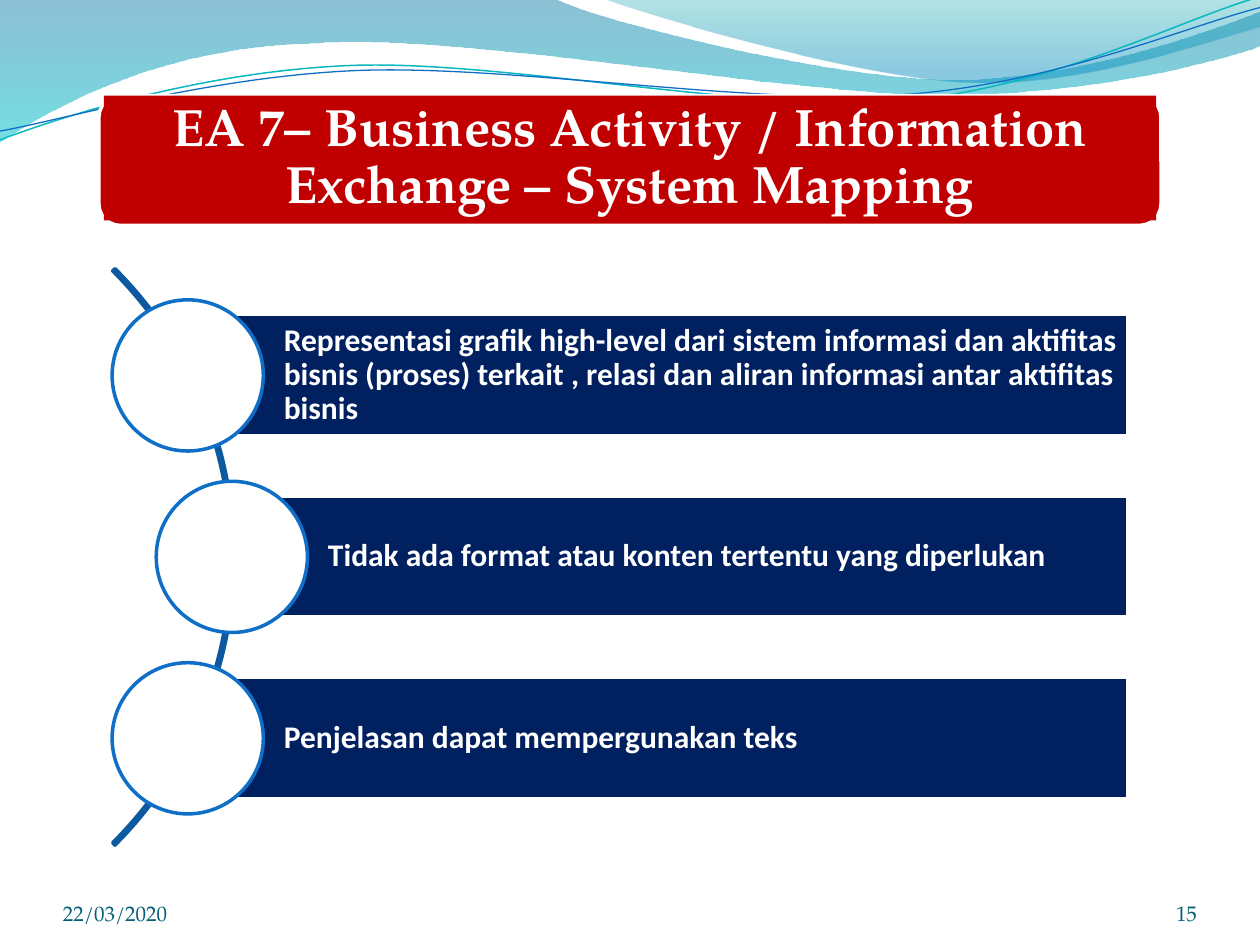
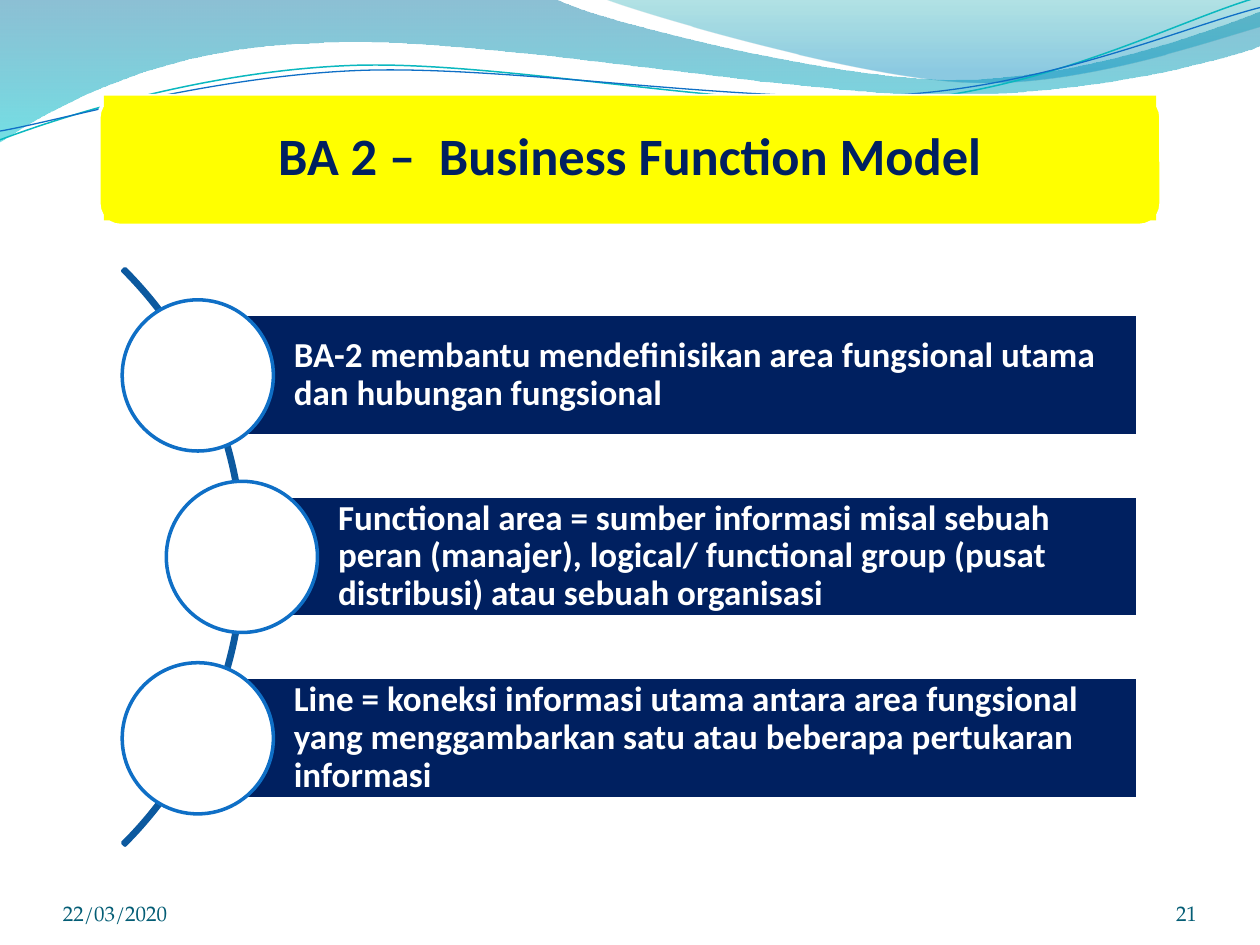
import math

from lxml import etree
from pptx import Presentation, util as u
from pptx.dml.color import RGBColor
from pptx.enum import shapes, text
from pptx.oxml.ns import qn

COLORS = {
    "white": "FFFFFF", "navy": "002060", "red": "C00000", "yellow": "FFFF00",
    "blue": "0F6FC6", "arc": "0C599F", "footer": "045D75", "aqua": "0AB8BF",
    "wave_top": "0074A1", "wave_end": "00C6CF",
    "crest_top": "00A1A9", "crest_end": "008BBF",
}
SERIF, SANS = "TeX Gyre Pagella", "Calibri"

deck = Presentation()
deck.slide_width, deck.slide_height = u.Inches(10), u.Inches(7.5)
CELL = deck.slide_width // 100  # grid of 100 columns by 75 rows

# Header waves in tenths of a cell: pairs are corners, sixes are cubic curves
TILT = 2.7  # degrees by which the thin lines lean
WAVES = [
    dict(steps=[(0, 0), (440, -1), (476, 17, 664, 63, 758, 63),
                (853, 63, 958, 26, 1000, 9), (1001, 36),
                (983, 44, 870, 76, 746, 75), (622, 75, 382, 28, 257, 34),
                (129, 36, 46, 83, -1, 113)],
         stops=[("wave_top", 0, 45), ("wave_end", 1, 55)]),
    dict(steps=[(479, -1), (509, 11, 682, 62, 769, 65),
                (856, 69, 961, 32, 1000, 21), (1000, 0)],
         stops=[("crest_top", 0, 30), ("crest_end", 0.8, 45)]),
    dict(steps=[(0, 111), (48, 93, 158, 57, 277, 52),
                (395, 47, 593, 89, 713, 80), (833, 71, 938, 15, 998, -2)],
         line=("aqua", 0.85), center=(499, 57.5)),
    dict(steps=[(0, 104), (47, 96, 164, 61, 283, 56),
                (403, 51, 597, 84, 717, 75), (836, 67, 941, 21, 1000, 6)],
         line=("blue", 0.75), center=(499.5, 59)),
]

PAGES = [
    dict(title="EA 7– Business Activity / Information Exchange – System Mapping",
         band="red", ink="white", font=SERIF, number="15",
         left=8.9, size=18, inset=0.5,
         points=["Representasi grafik high-level dari sistem informasi dan aktifitas "
                 "bisnis (proses) terkait , relasi dan aliran informasi antar aktifitas bisnis",
                 "Tidak ada format atau konten tertentu yang diperlukan",
                 "Penjelasan dapat mempergunakan teks"]),
    dict(title="BA 2 –  Business Function Model",
         band="yellow", ink="navy", font=SANS, number="21",
         left=9.7, size=20, inset=0.6,
         points=["BA-2 membantu mendefinisikan area fungsional utama dan hubungan fungsional",
                 "Functional area = sumber informasi misal sebuah peran (manajer), "
                 "logical/ functional group (pusat distribusi) atau sebuah organisasi",
                 "Line = koneksi informasi utama antara area fungsional yang "
                 "menggambarkan satu atau beberapa pertukaran informasi"]),
]


def draw(page, kind, area, fill=None, line=None):
    """Add a preset shape on the grid; kind None gives a text box."""
    area = [round(side * CELL) for side in area]
    if kind is None:
        return page.shapes.add_textbox(*area)
    shape = page.shapes.add_shape(kind, *area)
    shape.shadow.inherit = False
    if fill:
        shape.fill.solid()
        shape.fill.fore_color.rgb = RGBColor.from_string(COLORS[fill])
    else:
        shape.fill.background()
    if line:
        shape.line.color.rgb = RGBColor.from_string(COLORS[line])
        shape.line.width = u.Pt(2)
    else:
        shape.line.fill.background()
    return shape


def write(box, words, size, font, ink, align, anchor, inset=0, indent=None, bold=True):
    frame = box.text_frame
    frame.word_wrap = True
    frame.vertical_anchor = anchor
    frame.margin_top = frame.margin_right = frame.margin_bottom = round(inset * CELL)
    frame.margin_left = round((inset if indent is None else indent) * CELL)
    para = frame.paragraphs[0]
    para.text = words
    para.alignment = align
    if bold:
        para.line_spacing = 0.9
    para.font.size, para.font.name, para.font.bold = u.Pt(size), font, bold
    para.font.color.rgb = RGBColor.from_string(COLORS[ink])


ALIGN, ANCHOR, SHAPE = text.PP_ALIGN, text.MSO_ANCHOR, shapes.MSO_SHAPE

for content in PAGES:
    page = deck.slides.add_slide(deck.slide_layouts[6])

    # Header waves
    for wave in WAVES:
        dots = [step[i:i + 2] for step in wave["steps"] for i in range(0, len(step), 2)]
        if "center" in wave:  # level the line; the shape's rotation tilts it again
            cx, cy = wave["center"]
            cos, sin = math.cos(math.radians(TILT)), math.sin(math.radians(TILT))
            dots = [(cx + (x - cx) * cos - (y - cy) * sin,
                     cy + (x - cx) * sin + (y - cy) * cos) for x, y in dots]
        dots = [(x * CELL / 10, y * CELL / 10) for x, y in dots]
        builder = page.shapes.build_freeform(*dots[0])
        builder.add_line_segments(dots[1:], close="stops" in wave)
        outline = builder.convert_to_shape()
        outline.shadow.inherit = False

        # Join each three segments of a curve into one cubic
        segments = iter(list(outline._element.iter(qn("a:lnTo"))))
        for step in wave["steps"][1:]:
            segment = next(segments)
            if len(step) == 6:
                curve = etree.Element(qn("a:cubicBezTo"))
                segment.addprevious(curve)
                for part in (segment, next(segments), next(segments)):
                    curve.append(part[0])
                    part.getparent().remove(part)

        if "stops" in wave:
            outline.line.fill.background()
            outline.fill.gradient()
            outline.fill.gradient_angle = 270
            for stop, (color, position, _) in zip(outline.fill.gradient_stops, wave["stops"]):
                stop.color.rgb = RGBColor.from_string(COLORS[color])
                stop.position = position
            tints = list(outline._element.iter(qn("a:srgbClr")))
            for tint, (_, _, opacity) in zip(tints, wave["stops"]):
                etree.SubElement(tint, qn("a:alpha")).set("val", str(opacity * 1000))
        else:
            color, width = wave["line"]
            outline.rotation = 360 - TILT
            outline.fill.background()
            outline.line.color.rgb = RGBColor.from_string(COLORS[color])
            outline.line.width = u.Pt(width)

    # Footer
    date = draw(page, None, (5, 69.5, 23.3, 4))
    write(date, "22/03/2020", 12, SERIF, "footer", ALIGN.LEFT, ANCHOR.BOTTOM, bold=False)
    number = draw(page, None, (86.7, 69.5, 8.3, 4))
    write(number, content["number"], 12, SERIF, "footer", ALIGN.RIGHT, ANCHOR.BOTTOM, bold=False)

    # Title band
    draw(page, SHAPE.ROUNDED_RECTANGLE, (7.85, 7.6, 84.3, 10.3), content["band"], "white")
    title = draw(page, SHAPE.RECTANGLE, (8.25, 7.6, 83.5, 9.9), content["band"])
    write(title, content["title"], 30, content["font"], content["ink"],
          ALIGN.CENTER, ANCHOR.MIDDLE, inset=1.2)

    # Arc behind the list
    left = content["left"]
    arc = draw(page, SHAPE.BLOCK_ARC, (left - 55, 11.85, 64.7, 64.7), line="arc")
    for i, value in enumerate((189, 27, 0.004)):
        arc.adjustments[i] = value

    # Bars, their texts and circles; the middle row is shifted along the arc
    for row, words in enumerate(content["points"]):
        shift = 3.5 if row == 1 else 0
        top = 23.8 + 14.4 * row
        area = (left + 6 + shift, top + 1.17, 74.6 - shift, 9.6)
        draw(page, SHAPE.RECTANGLE, area, "navy", "white")
        label = draw(page, None, area)
        write(label, words, content["size"], SANS, "white", ALIGN.LEFT, ANCHOR.MIDDLE,
              inset=content["inset"], indent=7.63)
        draw(page, SHAPE.OVAL, (left + shift, top, 12, 12), "white", "blue")

deck.save("out.pptx")
